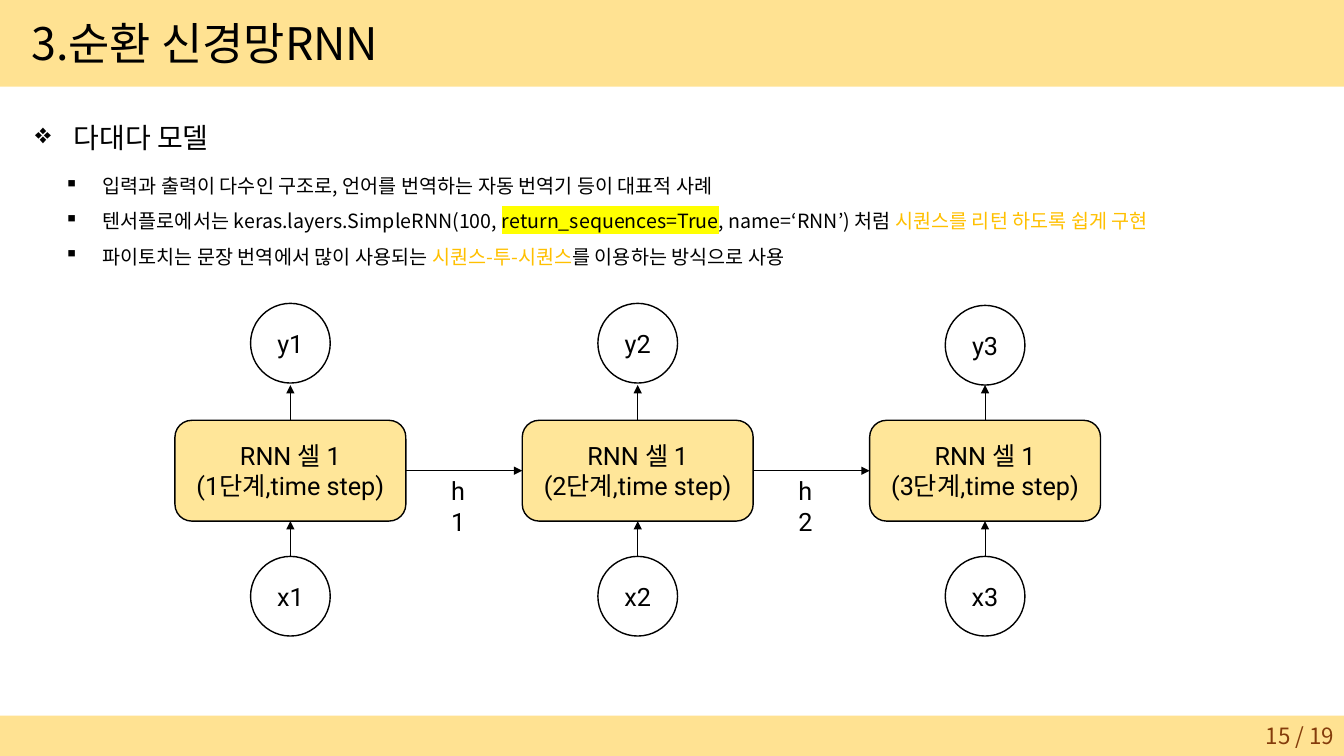
import pptx
import pptx.dml.color
import pptx.enum.dml
import pptx.enum.shapes
import pptx.enum.text
import pptx.oxml.ns
import pptx.util
from lxml import etree

COLORS = {
    "band": "FFE292", "cell": "FFE699", "ink": "000000",
    "accent": "FFC000", "marker": "FFFF00", "page": "843C0B",
}
KOREAN, LATIN = "Noto Sans CJK KR", "Roboto"
WIDTH, HEIGHT = 13.33, 7.5

# Diagram grid: one column per time step, rows from top to bottom
FIRST_CENTER, STEP_GAP = 2.88, 3.445
CIRCLE = 0.79
CELL_WIDTH, CELL_HEIGHT, CELL_TOP = 2.29, 1.0, 4.17
INPUT_TOP = 5.52
OUTPUT_TOPS = (3.01, 3.01, 3.03)

HEADING = [[("다대다 모델", "ink", None)]]
POINTS = [
    [("입력과 출력이 다수인 구조로, 언어를 번역하는 자동 번역기 등이 대표적 사례", "ink", None)],
    [("텐서플로에서는 keras.layers.SimpleRNN(100, ", "ink", None),
     ("return_sequences=True", "ink", "marker"),
     (", name=‘RNN’) 처럼 ", "ink", None),
     ("시퀀스를 리턴 하도록 쉽게 구현", "accent", None)],
    [("파이토치는 문장 번역에서 많이 사용되는 ", "ink", None),
     ("시퀀스-투-시퀀스", "accent", None),
     ("를 이용하는 방식으로 사용", "ink", None)],
]

SHAPES = pptx.enum.shapes.MSO_SHAPE
ALIGN = pptx.enum.text.PP_ALIGN
ANCHOR = pptx.enum.text.MSO_ANCHOR
inches = pptx.util.Inches


def rgb(name):
    return pptx.dml.color.RGBColor.from_string(COLORS[name])


def add_element(parent, tag, **attributes):
    return etree.SubElement(parent, pptx.oxml.ns.qn(tag), **attributes)


def add_run(paragraph, text, size, font=KOREAN, color="ink", highlight=None):
    run = paragraph.add_run()
    run.text = text
    run.font.size = pptx.util.Pt(size)
    run.font.color.rgb = rgb(color)
    properties = run.font._element
    if highlight:
        mark = add_element(properties, "a:highlight")
        add_element(mark, "a:srgbClr", val=COLORS[highlight])
    run.font.name = font
    add_element(properties, "a:ea", typeface=KOREAN)


def fit_to_text(frame):
    frame.word_wrap = False
    frame.auto_size = pptx.enum.text.MSO_AUTO_SIZE.SHAPE_TO_FIT_TEXT
    frame.vertical_anchor = ANCHOR.TOP


def add_shape(slide, kind, left, top, width, height, fill=None, outline=True):
    shape = slide.shapes.add_shape(
        kind, inches(left), inches(top), inches(width), inches(height))
    shape.shadow.inherit = False
    if fill:
        shape.fill.solid()
        shape.fill.fore_color.rgb = rgb(fill)
    else:
        shape.fill.background()
    if outline:
        shape.line.color.rgb = rgb("ink")
        shape.line.width = pptx.util.Pt(1)
    else:
        shape.line.fill.background()
    return shape


def add_node(slide, kind, center, top, width, height, lines, fill=None):
    node = add_shape(slide, kind, center - width / 2, top, width, height, fill)
    frame = node.text_frame
    frame.vertical_anchor = ANCHOR.MIDDLE
    for number, line in enumerate(lines):
        paragraph = frame.add_paragraph() if number else frame.paragraphs[0]
        paragraph.alignment = ALIGN.CENTER
        add_run(paragraph, line, 18, LATIN)
    return node


def add_arrow(slide, start, end, source=None, target=None):
    arrow = slide.shapes.add_connector(
        pptx.enum.shapes.MSO_CONNECTOR.STRAIGHT, *map(inches, start + end))
    arrow.line.color.rgb = rgb("ink")
    arrow.line.width = pptx.util.Pt(0.5)
    add_element(arrow.line._get_or_add_ln(), "a:tailEnd", type="triangle")
    add_element(arrow._element.spPr, "a:effectLst")
    if source:
        arrow.begin_connect(*source)
    if target:
        arrow.end_connect(*target)


def add_label(slide, left, top, width, height):
    return slide.shapes.add_textbox(
        inches(left), inches(top), inches(width), inches(height)).text_frame


def add_bullets(slide, left, top, width, height, bullet, size, items):
    frame = add_label(slide, left, top, width, height)
    fit_to_text(frame)
    for number, runs in enumerate(items):
        paragraph = frame.add_paragraph() if number else frame.paragraphs[0]
        paragraph.line_spacing = 1.5
        properties = paragraph._p.get_or_add_pPr()
        indent = inches(0.38)
        properties.set("marL", str(indent))
        properties.set("indent", str(-indent))
        add_element(properties, "a:buChar", char=bullet)
        for text, color, highlight in runs:
            add_run(paragraph, text, size, color=color, highlight=highlight)


def add_title(slide, text):
    title = slide.shapes.title
    title.left, title.top = inches(0.21), inches(0.11)
    title.width, title.height = inches(3.9), inches(0.64)
    fit_to_text(title.text_frame)
    paragraph = title.text_frame.paragraphs[0]
    paragraph.alignment = ALIGN.LEFT
    add_run(paragraph, text, 32)


def add_network(slide):
    middle = CELL_TOP + CELL_HEIGHT / 2
    bottom = CELL_TOP + CELL_HEIGHT
    previous = None
    for index, output_top in enumerate(OUTPUT_TOPS):
        step = index + 1
        center = FIRST_CENTER + index * STEP_GAP
        left = center - CELL_WIDTH / 2

        # Input, cell and output of this step
        source = add_node(slide, SHAPES.OVAL, center, INPUT_TOP,
                          CIRCLE, CIRCLE, [f"x{step}"])
        cell = add_node(slide, SHAPES.ROUNDED_RECTANGLE, center, CELL_TOP,
                        CELL_WIDTH, CELL_HEIGHT,
                        ["RNN 셀 1", f"({step}단계,time step)"], "cell")
        add_node(slide, SHAPES.OVAL, center, output_top,
                 CIRCLE, CIRCLE, [f"y{step}"])
        add_arrow(slide, (center, INPUT_TOP), (center, bottom),
                  (source, 0), (cell, 2))
        add_arrow(slide, (center, CELL_TOP), (center, 3.82), (cell, 0))

        # Hidden state passed on from the step before
        if previous:
            gap_left = left - STEP_GAP + CELL_WIDTH
            add_arrow(slide, (gap_left, middle), (left, middle),
                      (previous, 3), (cell, 1))
            state = add_label(slide, gap_left + 0.35, middle, 0.45, 0.4)
            state.word_wrap = True
            add_run(state.paragraphs[0], f"h{index}", 18, LATIN)
        previous = cell


def main():
    deck = pptx.Presentation()
    deck.slide_width, deck.slide_height = inches(WIDTH), inches(HEIGHT)
    slide = deck.slides.add_slide(deck.slide_layouts[5])

    # Bands, sent behind the title
    for top, height in ((0, 0.86), (7.1, 0.4)):
        band = add_shape(slide, SHAPES.RECTANGLE, 0, top, WIDTH, height,
                         "band", outline=False)
        slide.shapes.title._element.addprevious(band._element)

    # Text
    add_title(slide, "3.순환 신경망RNN")
    add_bullets(slide, 0.25, 0.98, 1.98, 0.56, "❖", 20, HEADING)
    add_bullets(slide, 0.54, 1.56, 11.62, 1.13, "▪", 14, POINTS)

    # Diagram
    add_network(slide)

    # Page number
    page = add_label(slide, WIDTH - 3, 7.1, 3, 0.4)
    page.word_wrap = True
    page.vertical_anchor = ANCHOR.MIDDLE
    page.paragraphs[0].alignment = ALIGN.RIGHT
    add_run(page.paragraphs[0], "15 / 19", 16, color="page")

    deck.save("out.pptx")


if __name__ == "__main__":
    main()
